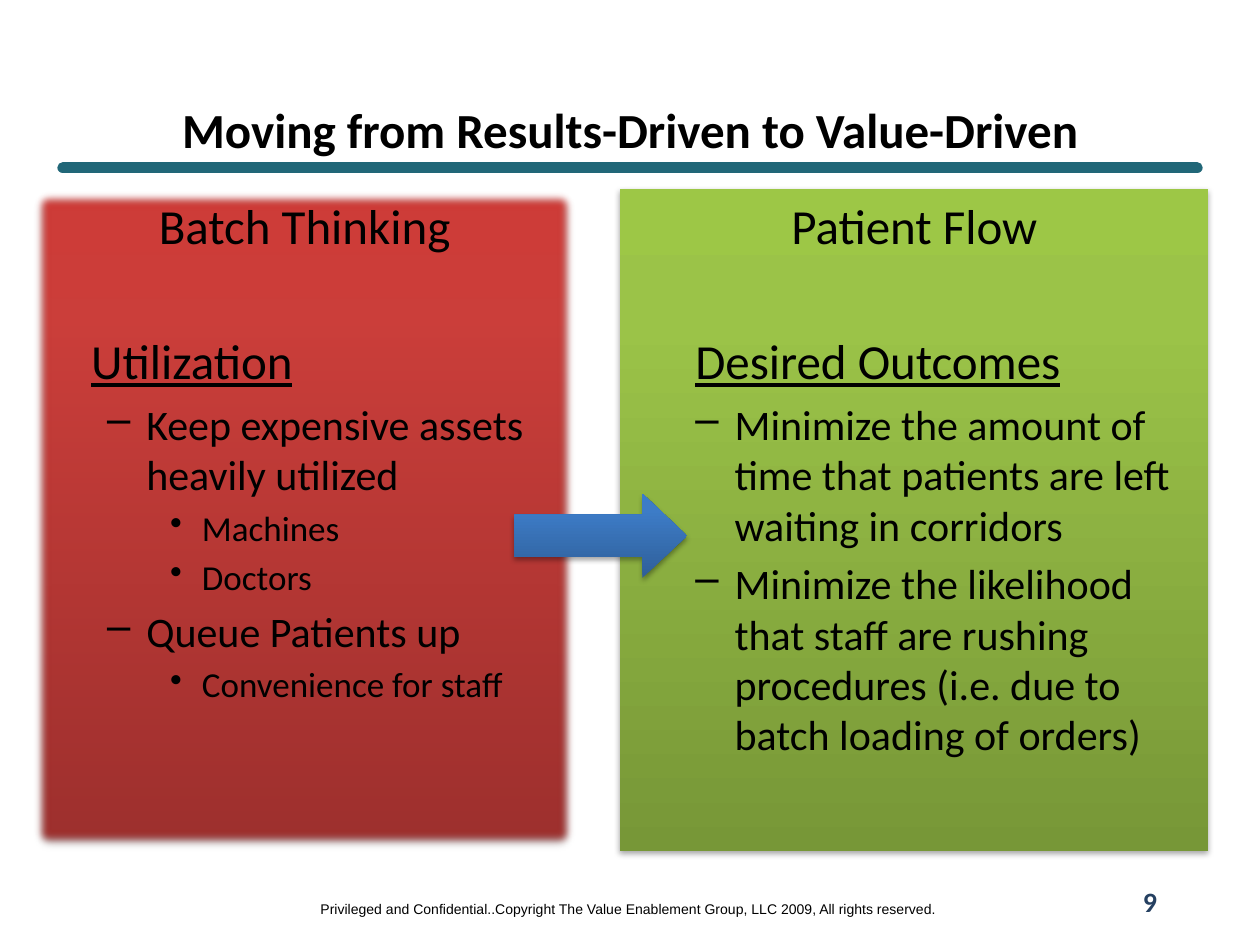
from copy import deepcopy
from dataclasses import dataclass

from pptx import Presentation
from pptx.dml.color import RGBColor
from pptx.enum.shapes import MSO_CONNECTOR, MSO_SHAPE
from pptx.enum.text import MSO_ANCHOR, PP_ALIGN
from pptx.oxml import parse_xml
from pptx.oxml.ns import nsdecls, qn
from pptx.util import Cm, Pt

RECTANGLE = MSO_SHAPE.RECTANGLE
RIGHT_ARROW = MSO_SHAPE.RIGHT_ARROW
STRAIGHT = MSO_CONNECTOR.STRAIGHT
LEFT, CENTER = PP_ALIGN.LEFT, PP_ALIGN.CENTER
TOP, MIDDLE = MSO_ANCHOR.TOP, MSO_ANCHOR.MIDDLE

COLORS = {"text": "000000", "rule": "216778", "number": "254061"}
GRADIENTS = {
    "red": ("9C2F2D", "CB3E3A", "CE3B37"),
    "green": ("779737", "9BC348", "9DC746"),
    "blue": ("2F5F99", "3D7CC7", "3A7CCB"),
}
STOP_POSITIONS = (0, 0.8, 1)
BODY_FONT = "Calibri"
FOOTER_FONT = "Arial"


@dataclass
class Box:
    left: float
    top: float
    width: float
    height: float

    def lengths(self) -> list:
        return [Cm(value) for value in (self.left, self.top, self.width, self.height)]


@dataclass
class Level:
    size: int
    margin: float = 0
    hanging: float = 0
    bullet: str = ""
    align: int = LEFT
    underline: bool = False
    space_before: float = 0


@dataclass
class Panel:
    box: Box
    gradient: str
    lines: list
    soft_edge: bool = False


HEADING = Level(28, align=CENTER)
DASH = Level(24, 2.06, 0.79, "–", space_before=4.8)
DOT = Level(20, 3.18, 0.64, "•", space_before=4)


def subheading(margin: float) -> Level:
    return Level(28, margin, underline=True, space_before=44)


PANELS = [
    Panel(Box(0.64, 3.81, 11, 13.34), "red", [
        (HEADING, "Batch Thinking"),
        (subheading(0.95), "Utilization"),
        (DASH, "Keep expensive assets heavily utilized"),
        (DOT, "Machines"),
        (DOT, "Doctors"),
        (DASH, "Queue Patients up"),
        (DOT, "Convenience for staff"),
    ], soft_edge=True),
    Panel(Box(12.5, 3.81, 11.86, 13.34), "green", [
        (HEADING, "Patient Flow"),
        (subheading(1.27), "Desired Outcomes"),
        (DASH, "Minimize the amount of time that patients are left waiting in corridors"),
        (DASH, "Minimize the likelihood that staff are rushing procedures "
               "(i.e. due to batch loading of orders)"),
    ]),
]


def format_runs(paragraph, size: float, color: str = "text", bold: bool = False,
                font_name: str = BODY_FONT, underline: bool = False) -> None:
    for run in paragraph.runs:
        run.font.name = font_name
        run.font.size = Pt(size)
        run.font.bold = bold
        run.font.underline = underline
        run.font.color.rgb = RGBColor.from_string(COLORS[color])


def add_gradient_shape(slide, kind: int, box: Box, gradient: str, soft_edge: bool = False):
    shape = slide.shapes.add_shape(kind, *box.lengths())
    shape.line.fill.background()
    shape.fill.gradient()
    shape.fill.gradient_angle = 90
    properties = shape._element.spPr
    stop_list = properties.find(qn("a:gradFill")).find(qn("a:gsLst"))
    stop_list.append(deepcopy(stop_list[-1]))
    for stop, position, color in zip(shape.fill.gradient_stops, STOP_POSITIONS, GRADIENTS[gradient]):
        stop.position = position
        stop.color.rgb = RGBColor.from_string(color)
    edge = f'<a:softEdge rad="{Pt(5)}"/>' if soft_edge else ""
    properties.append(parse_xml(
        f'<a:effectLst {nsdecls("a")}>'
        f'<a:outerShdw blurRad="{Pt(3.1)}" dist="{Pt(1.8)}" dir="5400000" rotWithShape="0">'
        f'<a:srgbClr val="000000"><a:alpha val="35000"/></a:srgbClr></a:outerShdw>{edge}</a:effectLst>'))
    return shape


def format_line(paragraph, level: Level) -> None:
    paragraph.alignment = level.align
    paragraph.space_before = Pt(level.space_before)
    properties = paragraph._p.get_or_add_pPr()
    properties.set("marL", str(Cm(level.margin)))
    properties.set("indent", str(-Cm(level.hanging)))
    if level.bullet:
        properties.append(parse_xml(f'<a:buChar {nsdecls("a")} char="{level.bullet}"/>'))
    format_runs(paragraph, level.size, underline=level.underline)


def add_panel(slide, panel: Panel) -> None:
    shape = add_gradient_shape(slide, RECTANGLE, panel.box, panel.gradient, panel.soft_edge)
    text_frame = shape.text_frame
    text_frame.word_wrap = True
    text_frame.vertical_anchor = TOP
    text_frame.text = "\n".join(text for _, text in panel.lines)
    for paragraph, (level, _) in zip(text_frame.paragraphs, panel.lines):
        format_line(paragraph, level)


def add_label(slide, box: Box, text: str, wrap: bool, **run_format) -> None:
    text_frame = slide.shapes.add_textbox(*box.lengths()).text_frame
    text_frame.word_wrap = wrap
    text_frame.vertical_anchor = MIDDLE
    text_frame.text = text
    paragraph = text_frame.paragraphs[0]
    paragraph.alignment = CENTER
    format_runs(paragraph, **run_format)


def add_rule(slide) -> None:
    rule = slide.shapes.add_connector(STRAIGHT, Cm(1.27), Cm(3.38), Cm(24.13), Cm(3.38))
    rule.line.color.rgb = RGBColor.from_string(COLORS["rule"])
    rule.line.width = Pt(6.5)
    properties = rule._element.spPr
    properties.find(qn("a:ln")).set("cap", "rnd")
    properties.append(parse_xml(f'<a:effectLst {nsdecls("a")}/>'))


def add_title(slide, box: Box, text: str) -> None:
    title = slide.shapes.title
    title.left, title.top, title.width, title.height = box.lengths()
    title.text_frame.text = text
    title.text_frame.vertical_anchor = MIDDLE
    paragraph = title.text_frame.paragraphs[0]
    paragraph.alignment = CENTER
    format_runs(paragraph, 28, bold=True)


def main() -> None:
    presentation = Presentation()
    presentation.slide_width, presentation.slide_height = Cm(25.4), Cm(19.05)
    slide = presentation.slides.add_slide(presentation.slide_layouts[5])
    add_rule(slide)
    add_label(slide, Box(6.12, 18.01, 13.11, 0.61),
              "Privileged and Confidential..Copyright The Value Enablement Group, LLC 2009, "
              "All rights reserved.", wrap=False, size=8, font_name=FOOTER_FONT)
    add_title(slide, Box(1.27, 2.11, 22.86, 0.97), "Moving from Results-Driven to Value-Driven")
    add_label(slide, Box(22.23, 17.65, 1.9, 1.02), "9", wrap=True, size=16, color="number", bold=True)
    for panel in PANELS:
        add_panel(slide, panel)
    arrow = add_gradient_shape(slide, RIGHT_ARROW, Box(10.37, 9.95, 3.48, 1.7), "blue")
    arrow.adjustments[1] = 0.53
    presentation.save("out.pptx")


if __name__ == "__main__":
    main()
